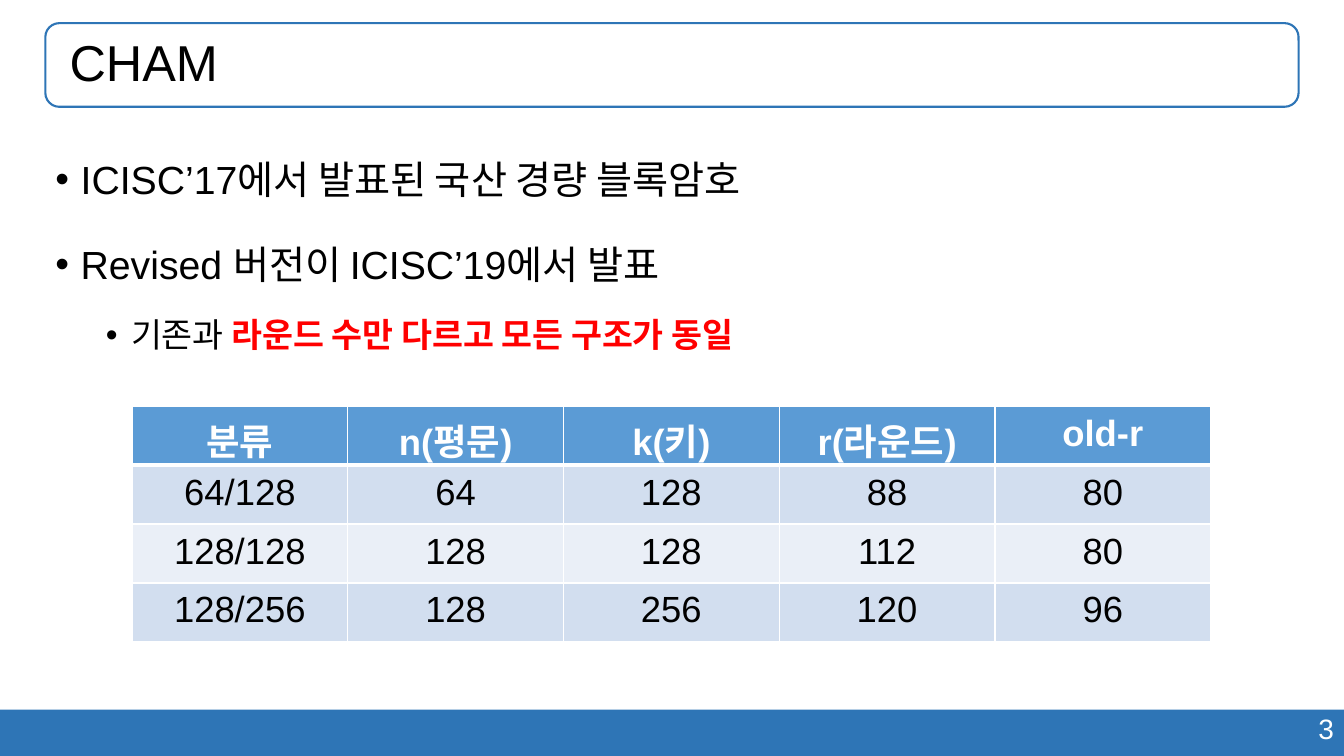
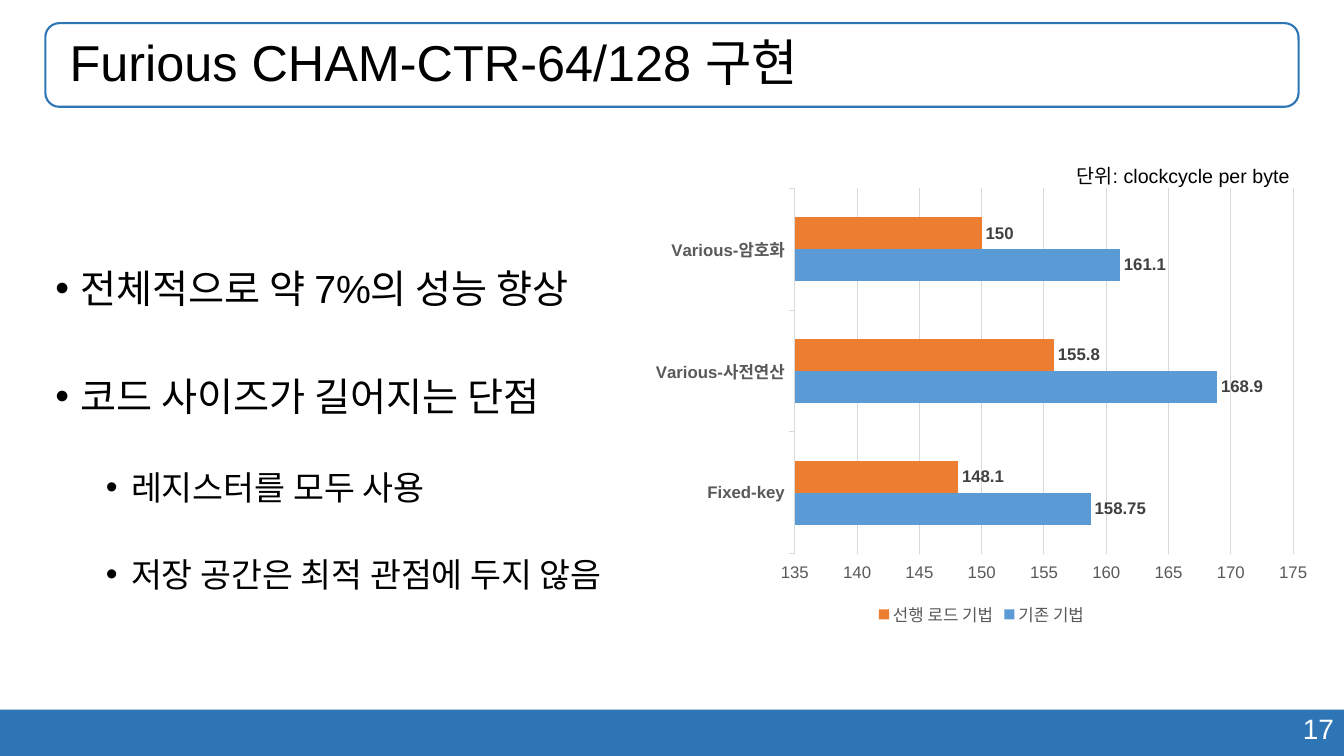
"""Build two slides on the CHAM block cipher: a parameter table and a benchmark chart."""
import collections

import pptx
import pptx.chart.data
import pptx.dml.color
import pptx.enum.chart
import pptx.enum.shapes
import pptx.enum.text
import pptx.oxml.ns
import pptx.util
from lxml import etree

Inches = pptx.util.Inches
Pt = pptx.util.Pt
RGBColor = pptx.dml.color.RGBColor
Align = pptx.enum.text.PP_ALIGN
Anchor = pptx.enum.text.MSO_ANCHOR
AutoSize = pptx.enum.text.MSO_AUTO_SIZE
Shape = pptx.enum.shapes.MSO_SHAPE
qn = pptx.oxml.ns.qn
Box = collections.namedtuple("Box", "left top width height")

FONT = "Arial"
BLACK = RGBColor(0x00, 0x00, 0x00)
WHITE = RGBColor(0xFF, 0xFF, 0xFF)
RED = RGBColor(0xFF, 0x00, 0x00)
BAND_BLUE = RGBColor(0x2E, 0x75, 0xB6)
BLUE = RGBColor(0x5B, 0x9B, 0xD5)
ORANGE = RGBColor(0xED, 0x7D, 0x31)
ROW_DARK = RGBColor(0xD2, 0xDE, 0xEF)
ROW_LIGHT = RGBColor(0xEA, 0xEF, 0xF7)
GRID_GREY = RGBColor(0xD9, 0xD9, 0xD9)
AXIS_GREY = RGBColor(0x59, 0x59, 0x59)
LABEL_GREY = RGBColor(0x40, 0x40, 0x40)

PAGE = Box(0, 0, 13.33, 7.5)
BAND = Box(0, 7.04, 13.33, 0.46)
NUMBER = Box(9.43, 7.01, 3.9, 0.44)
TITLE = Box(0.45, 0.23, 12.43, 0.83)
BODY = Box(0.45, 1.26, 12.43, 5.53)
LEVEL_INDENT = (0.25, 0.75)
LEVEL_SIZE = (28, 24)
LEVEL_SPACE = (10, 5)


def lengths(box):
    """Return the four lengths of a box."""
    return [Inches(value) for value in box]


def place(item, box):
    """Move and size a placeholder to a box."""
    item.left, item.top, item.width, item.height = lengths(box)


def style_font(font, size, color, bold=False):
    """Set the face, size, colour and weight of a font."""
    font.name = FONT
    font.size = Pt(size)
    font.color.rgb = color
    font.bold = bold


def add_span(para, text, size, color, bold=False):
    """Add one formatted run to a paragraph."""
    span = para.add_run()
    span.text = text
    style_font(span.font, size, color, bold)


def add_plate(page, kind, box):
    """Add an unshadowed, unfilled and unlined shape."""
    plate = page.shapes.add_shape(kind, *lengths(box))
    plate.shadow.inherit = False
    plate.fill.background()
    plate.line.fill.background()
    return plate


def add_note(page, box, text, size, color, wrap):
    """Add a right-aligned line of text."""
    frame = page.shapes.add_textbox(*lengths(box)).text_frame
    frame.word_wrap = wrap
    frame.auto_size = AutoSize.SHAPE_TO_FIT_TEXT
    para = frame.paragraphs[0]
    para.alignment = Align.RIGHT
    add_span(para, text, size, color)


def add_page(deck, title, number):
    """Add a slide with the shared band, page number and framed title."""
    page = deck.slides.add_slide(deck.slide_layouts[1])
    band = add_plate(page, Shape.RECTANGLE, BAND)
    band.fill.solid()
    band.fill.fore_color.rgb = BAND_BLUE
    add_note(page, NUMBER, number, 20, WHITE, True)
    outline = add_plate(page, Shape.ROUNDED_RECTANGLE, TITLE)
    outline.line.color.rgb = BAND_BLUE
    outline.line.width = Pt(1.5)

    place(page.shapes.title, TITLE)
    frame = page.shapes.title.text_frame
    frame.auto_size = AutoSize.NONE
    frame.vertical_anchor = Anchor.MIDDLE
    frame.margin_left = Inches(0.24)
    para = frame.paragraphs[0]
    para.alignment = Align.LEFT
    para.line_spacing = 0.9
    add_span(para, title, 36, BLACK)
    return page


def fill_list(page, box, items, spacing, anchor):
    """Write bulleted items, each a level and its (text, stressed) parts."""
    body = page.placeholders[1]
    place(body, box)
    frame = body.text_frame
    frame.auto_size = AutoSize.NONE
    frame.vertical_anchor = anchor
    for index, (level, parts) in enumerate(items):
        para = frame.add_paragraph() if index else frame.paragraphs[0]
        para.level = level
        para.line_spacing = spacing
        para.space_before = Pt(LEVEL_SPACE[level] if index else 0)
        props = para._p.get_or_add_pPr()
        props.set("marL", str(Inches(LEVEL_INDENT[level])))
        props.set("indent", str(Inches(-0.25)))
        etree.SubElement(props, qn("a:buFont"), typeface=FONT)
        etree.SubElement(props, qn("a:buChar"), char="•")
        for text, stressed in parts:
            add_span(para, text, LEVEL_SIZE[level], RED if stressed else BLACK, stressed)


def add_borders(cell, widths):
    """Draw white cell borders from a map of side to width in points."""
    props = cell._tc.get_or_add_tcPr()
    for side, width in widths.items():
        line = etree.SubElement(props, qn(f"a:ln{side}"), w=str(Pt(width)))
        fill = etree.SubElement(line, qn("a:solidFill"))
        etree.SubElement(fill, qn("a:srgbClr"), val=str(WHITE))


def add_parameter_table(page, box, rows):
    """Add a centred table with a header row and alternating body rows."""
    table = page.shapes.add_table(len(rows), len(rows[0]), *lengths(box)).table
    for row in table.rows:
        row.height = Inches(box.height / len(rows))
    for row_index, texts in enumerate(rows):
        header = row_index == 0
        fill = BLUE if header else (ROW_LIGHT, ROW_DARK)[row_index % 2]
        widths = {"L": 1, "R": 1, "T": 3 if row_index == 1 else 1, "B": 3 if header else 1}
        for column_index, text in enumerate(texts):
            cell = table.cell(row_index, column_index)
            add_borders(cell, widths)
            cell.fill.solid()
            cell.fill.fore_color.rgb = fill
            cell.margin_left = cell.margin_right = Inches(0.14)
            cell.margin_top = cell.margin_bottom = Inches(0.07)
            para = cell.text_frame.paragraphs[0]
            para.alignment = Align.CENTER
            add_span(para, text, 26, WHITE if header else BLACK, header)


def add_cycle_chart(page, box, categories, series):
    """Add a clustered bar chart from (name, values, colour) series."""
    data = pptx.chart.data.CategoryChartData()
    data.categories = categories
    for name, values, _ in series:
        data.add_series(name, values)
    kind = pptx.enum.chart.XL_CHART_TYPE.BAR_CLUSTERED
    chart = page.shapes.add_chart(kind, *lengths(box), data).chart
    style_font(chart.font, 10, BLACK)
    chart.has_title = False
    chart.has_legend = True
    chart.legend.position = pptx.enum.chart.XL_LEGEND_POSITION.BOTTOM
    chart.legend.include_in_layout = False
    style_font(chart.legend.font, 12, AXIS_GREY)

    names = chart.category_axis
    style_font(names.tick_labels.font, 12, AXIS_GREY, True)
    scale = chart.value_axis
    style_font(scale.tick_labels.font, 12, AXIS_GREY)
    scale.minimum_scale, scale.maximum_scale, scale.major_unit = 135, 175, 5
    scale.has_major_gridlines = True
    scale.format.line.fill.background()
    for line in (names.format.line, scale.major_gridlines.format.line):
        line.color.rgb = GRID_GREY
        line.width = Pt(0.75)

    plot = chart.plots[0]
    plot.gap_width = 182
    plot.vary_by_categories = False
    for bars, (_, _, color) in zip(plot.series, series):
        bars.format.fill.solid()
        bars.format.fill.fore_color.rgb = color
        labels = bars.data_labels
        labels.show_value = True
        labels.position = pptx.enum.chart.XL_LABEL_POSITION.OUTSIDE_END
        style_font(labels.font, 12, LABEL_GREY, True)


def build_cipher_page(deck):
    """Build the slide that introduces the cipher and its parameters."""
    page = add_page(deck, "CHAM", "3")
    items = [
        (0, [("ICISC’17에서 발표된 국산 경량 블록암호", False)]),
        (0, [("Revised 버전이 ICISC’19에서 발표", False)]),
        (1, [("기존과 ", False), ("라운드 수만 다르고 모든 구조가 동일", True)]),
    ]
    fill_list(page, BODY, items, 1.5, Anchor.TOP)
    rows = [
        ("분류", "n(평문)", "k(키)", "r(라운드)", "old-r"),
        ("64/128", "64", "128", "88", "80"),
        ("128/128", "128", "128", "112", "80"),
        ("128/256", "128", "256", "120", "96"),
    ]
    add_parameter_table(page, Box(1.31, 4.03, 10.7, 2.34), rows)


def build_result_page(deck):
    """Build the slide that compares cycles per byte."""
    page = add_page(deck, "Furious CHAM-CTR-64/128 구현", "17")
    items = [
        (0, [("전체적으로 약 7%의 성능 향상", False)]),
        (0, [("코드 사이즈가 길어지는 단점", False)]),
        (1, [("레지스터를 모두 사용", False)]),
        (1, [("저장 공간은 최적 관점에 두지 않음", False)]),
    ]
    fill_list(page, BODY, items, 2.0, Anchor.MIDDLE)
    categories = ["Fixed-key", "Various-사전연산", "Various-암호화"]
    series = [
        ("기존 기법", (158.75, 168.9, 161.1), BLUE),
        ("선행 로드 기법", (148.1, 155.8, 150), ORANGE),
    ]
    add_cycle_chart(page, Box(6.37, 1.78, 6.73, 4.48), categories, series)
    add_note(page, Box(10.5, 1.58, 2.39, 0.34), "단위: clockcycle per byte", 14, BLACK, False)


def main():
    """Build and save the deck."""
    deck = pptx.Presentation()
    deck.slide_width, deck.slide_height = Inches(PAGE.width), Inches(PAGE.height)
    build_cipher_page(deck)
    build_result_page(deck)
    deck.save("out.pptx")


if __name__ == "__main__":
    main()
